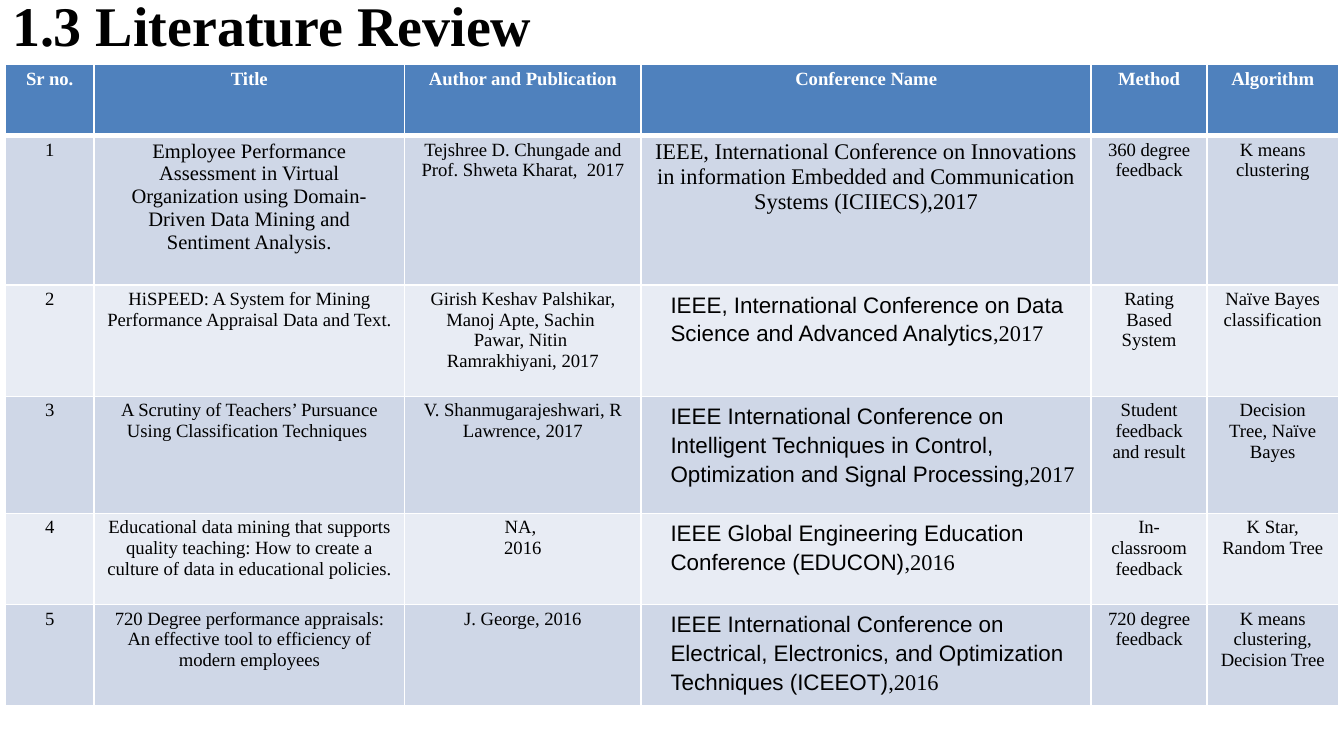
from pptx import Presentation
from pptx.dml.color import RGBColor
from pptx.enum.text import MSO_ANCHOR, PP_ALIGN
from pptx.oxml import parse_xml
from pptx.oxml.ns import nsdecls
from pptx.util import Inches, Pt

CENTER, LEFT = PP_ALIGN.CENTER, PP_ALIGN.LEFT
MIDDLE = MSO_ANCHOR.MIDDLE
SERIF, SANS = "Times New Roman", "Arial"
BLACK, WHITE, BLUE = "000000", "FFFFFF", "4F81BD"
BANDS = ["CFD7E7", "E8ECF4"]
INSETS = {"margin_left": 0.09, "margin_right": 0.09, "margin_top": 0.03, "margin_bottom": 0.03}

COLUMNS = [0.66, 2.31, 1.76, 3.35, 0.86, 0.98]
ROWS = [0.53, 1.11, 0.83, 0.87, 0.68, 0.7]
HEADER = ["Sr no.", "Title", "Author and Publication", "Conference Name", "Method", "Algorithm"]
PAPERS = [
    ("Employee Performance Assessment in Virtual Organization using Domain-Driven Data Mining and Sentiment Analysis.",
     "Tejshree D. Chungade and Prof. Shweta Kharat,  2017",
     "IEEE, International Conference on Innovations in information Embedded and Communication Systems (ICIIECS)",
     ",2017", "360 degree feedback", "K means clustering"),
    ("HiSPEED: A System for Mining Performance Appraisal Data and Text.",
     "Girish Keshav Palshikar, Manoj Apte, Sachin \nPawar, Nitin \nRamrakhiyani, 2017",
     "IEEE, International Conference on Data Science and Advanced Analytics",
     ",2017", "Rating Based System", "Naïve Bayes classification"),
    ("A Scrutiny of Teachers’ Pursuance Using Classification Techniques ",
     "V. Shanmugarajeshwari, R Lawrence, 2017",
     "IEEE International Conference on Intelligent Techniques in Control, Optimization and Signal Processing",
     ",2017", "Student feedback and result", "Decision Tree, Naïve Bayes"),
    ("Educational data mining that supports quality teaching: How to create a culture of data in educational policies.",
     "NA, \n2016",
     "IEEE Global Engineering Education Conference (EDUCON)",
     ",2016", "In-classroom feedback", "K Star, Random Tree"),
    ("720 Degree performance appraisals: An effective tool to efficiency of modern employees",
     "J. George, 2016",
     "IEEE International Conference on Electrical, Electronics, and Optimization Techniques (ICEEOT)",
     ",2016", "720 degree feedback", "K means clustering, Decision Tree"),
]


def rgb(value):
    return RGBColor.from_string(value)


class SlideBuilder:
    def __init__(self, slide):
        self.s = slide

    def run(self, p, text, size=10, color=BLACK, **formats):
        r = p.add_run()
        r.text = text
        r.font.color.rgb = rgb(color)
        for name, value in {"name": SERIF, "size": Pt(size), "bold": False, **formats}.items():
            setattr(r.font, name, value)

    def paragraphs(self, tf, text, align=CENTER, **formats):
        for i, line in enumerate(text.split("\n")):
            p = tf.add_paragraph() if i else tf.paragraphs[0]
            p.alignment = align
            self.run(p, line, **formats)

    def title(self, text, x, y, w, h):
        tf = self.s.shapes.add_textbox(Inches(x), Inches(y), Inches(w), Inches(h)).text_frame
        for name, value in {**dict.fromkeys(INSETS, 0), "word_wrap": True, "vertical_anchor": MIDDLE}.items():
            setattr(tf, name, value)
        self.paragraphs(tf, text, LEFT, size=30, bold=True)

    def table(self, x, y, widths, heights):
        frame = self.s.shapes.add_table(len(heights), len(widths), Inches(x), Inches(y),
                                        Inches(sum(widths)), Inches(sum(heights)))
        table = frame.table
        for column, width in zip(table.columns, widths):
            column.width = Inches(width)
        for row, height in zip(table.rows, heights):
            row.height = Inches(height)
        return table

    def cell(self, cell, fill, bottom=1):
        for name, value in INSETS.items():
            setattr(cell, name, Inches(value))
        cell.fill.solid()
        cell.fill.fore_color.rgb = rgb(fill)
        tcPr = cell._tc.get_or_add_tcPr()
        borders = {"L": 1, "R": 1, "T": 1, "B": bottom}
        for i, (side, width) in enumerate(borders.items()):
            tcPr.insert(i, parse_xml(
                f'<a:ln{side} {nsdecls("a")} w="{Pt(width)}"><a:solidFill>'
                f'<a:srgbClr val="{WHITE}"/></a:solidFill></a:ln{side}>'))
        return cell.text_frame

    def conference(self, tf, name, year):
        p = tf.paragraphs[0]
        p.line_spacing = 1.15
        p._p.get_or_add_pPr().set("marL", str(Inches(0.13)))
        self.run(p, name, 12, name=SANS)
        self.run(p, year, 12)


def main():
    prs = Presentation()
    prs.slide_width = Inches(10)
    prs.slide_height = prs.slide_width * 9 // 16
    builder = SlideBuilder(prs.slides.add_slide(prs.slide_layouts[6]))
    builder.title("1.3 Literature Review", 0.09, 0, 7.67, 0.36)
    table = builder.table(0.04, 0.48, COLUMNS, ROWS)

    for col, text in enumerate(HEADER):
        tf = builder.cell(table.cell(0, col), BLUE, bottom=3)
        builder.paragraphs(tf, text, color=WHITE, bold=True)

    for row, (title, author, name, year, method, algorithm) in enumerate(PAPERS, 1):
        sizes = {1: 11, 3: 12} if row == 1 else {}
        for col, text in enumerate([str(row), title, author, name + year, method, algorithm]):
            tf = builder.cell(table.cell(row, col), BANDS[(row - 1) % 2])
            if col == 3 and row > 1:
                builder.conference(tf, name, year)
            else:
                builder.paragraphs(tf, text, size=sizes.get(col, 10))

    prs.save("out.pptx")


if __name__ == "__main__":
    main()
